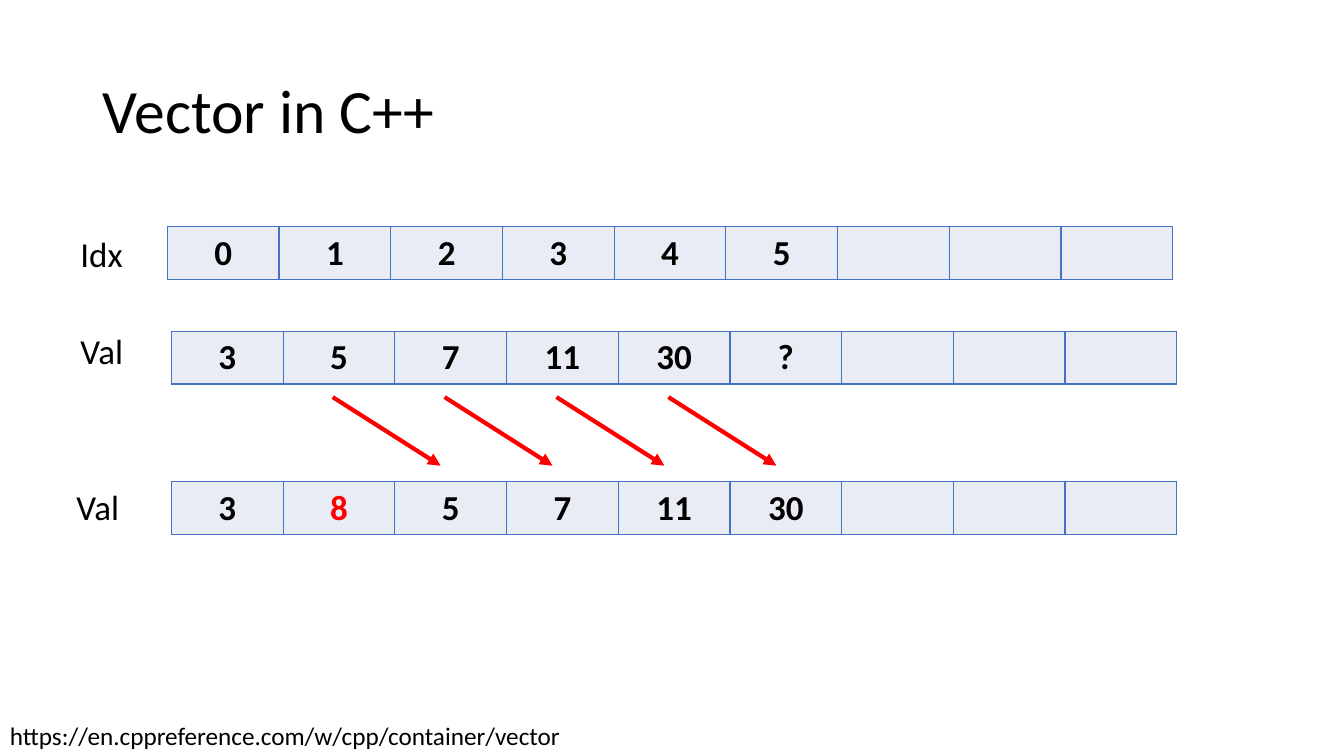
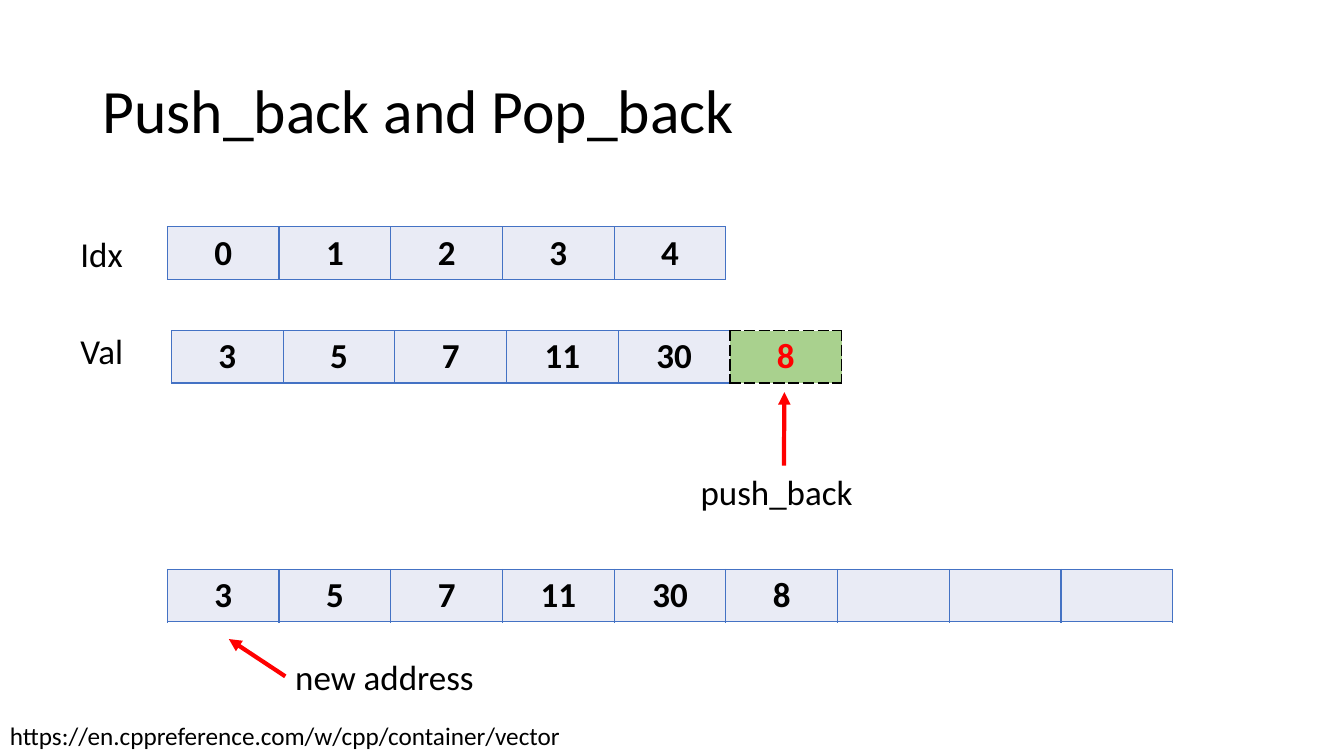
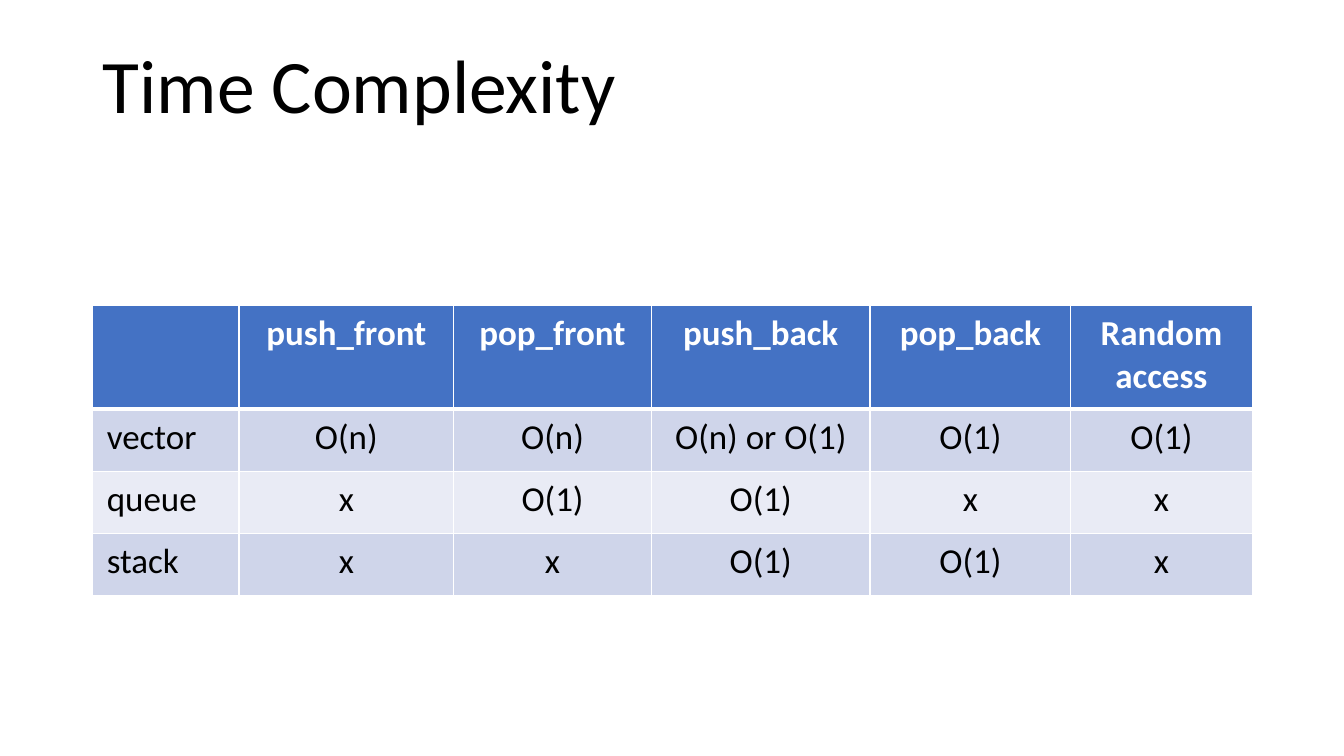
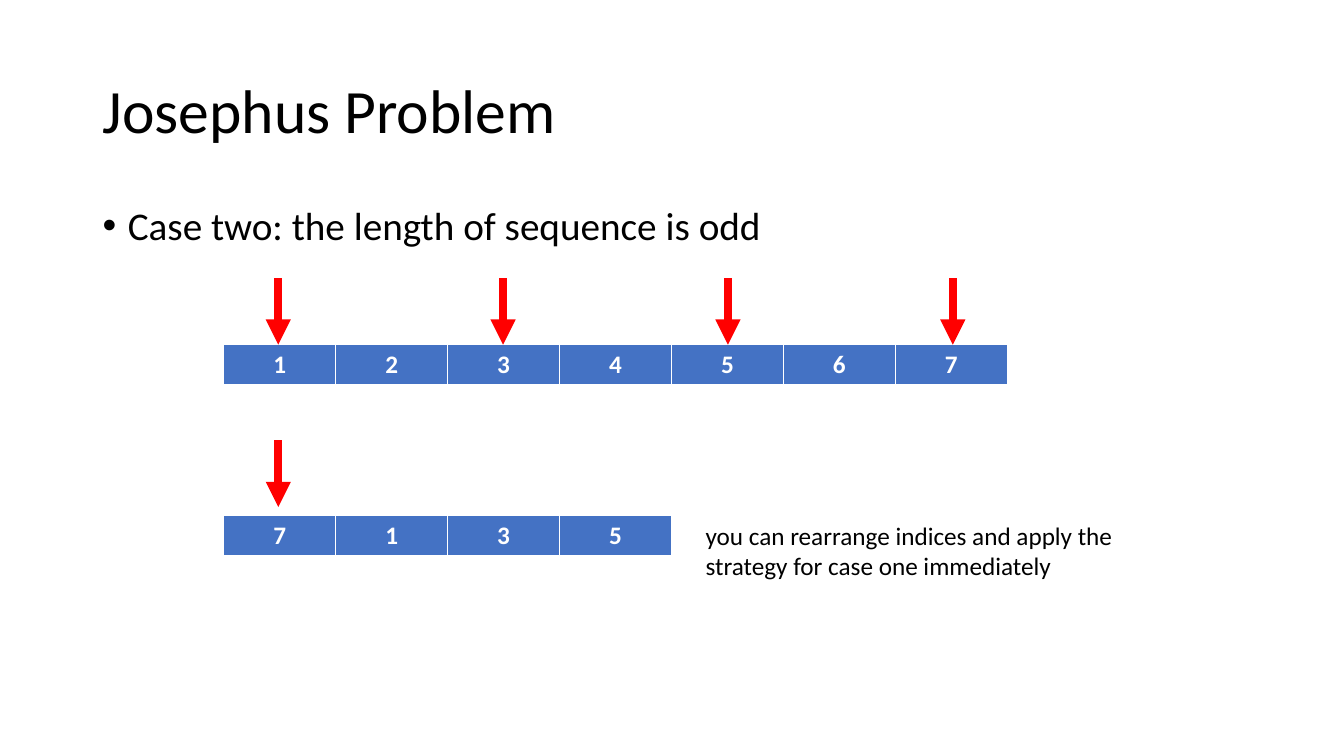
from pptx import Presentation
from pptx.dml.color import RGBColor
from pptx.enum.shapes import MSO_CONNECTOR
from pptx.enum.text import MSO_ANCHOR, PP_ALIGN
from pptx.oxml import parse_xml
from pptx.oxml.ns import nsdecls, qn
from pptx.util import Inches, Pt

STRAIGHT = MSO_CONNECTOR.STRAIGHT
TOP, MIDDLE, BOTTOM = MSO_ANCHOR.TOP, MSO_ANCHOR.MIDDLE, MSO_ANCHOR.BOTTOM
LEFT, CENTER = PP_ALIGN.LEFT, PP_ALIGN.CENTER
TOP_SIDE, LEFT_SIDE = 0, 1


class Theme:
    font = "Calibri"
    black = "000000"
    white = "FFFFFF"
    blue = "4472C4"
    band = "CFD5EA"
    pale = "E9EBF5"
    red = "FF0000"
    green = "A9D18E"
    title = 44
    big_title = 54
    body = 28
    label = 25
    small = 18


def add_text(slide, text, left, top, width, height, size, anchor=TOP, spacing=None):
    box = slide.shapes.add_textbox(Inches(left), Inches(top), Inches(width), Inches(height))
    frame = box.text_frame
    frame.word_wrap = True
    frame.vertical_anchor = anchor
    frame.text = text
    paragraph = frame.paragraphs[0]
    paragraph.line_spacing = spacing
    font = paragraph.runs[0].font
    font.name, font.size = Theme.font, Pt(size)
    font.color.rgb = RGBColor.from_string(Theme.black)
    return box


def add_table(slide, rows, left, top, widths, heights, fills, size=Theme.label,
              border=Theme.blue, header_color=Theme.black, header_rule=1,
              margins=(0.1, 0.05)):
    table = slide.shapes.add_table(len(rows), len(widths), Inches(left), Inches(top),
                                   Inches(sum(widths)), Inches(sum(heights))).table
    table.first_row = table.horz_banding = False
    for column, width in zip(table.columns, widths):
        column.width = Inches(width)
    for r, values in enumerate(rows):
        table.rows[r].height = Inches(heights[r])
        for c, value in enumerate(values):
            cell = table.cell(r, c)
            cell.margin_left = cell.margin_right = Inches(margins[0])
            cell.margin_top = cell.margin_bottom = Inches(margins[1])
            cell.fill.solid()
            cell.fill.fore_color.rgb = RGBColor.from_string(fills[r])
            cell.text = value
            paragraph = cell.text_frame.paragraphs[0]
            paragraph.alignment = LEFT if r and not c else CENTER
            font = paragraph.font
            if paragraph.runs:
                font = paragraph.runs[0].font
            font.name, font.size, font.bold = Theme.font, Pt(size), r == 0
            font.color.rgb = RGBColor.from_string(Theme.black if r else header_color)
            for position, edge in enumerate("LRTB"):
                under_header = (r, edge) in ((0, "B"), (1, "T"))
                rule = Pt(header_rule if under_header else 1)
                cell._tc.get_or_add_tcPr().insert(position, parse_xml(
                    f'<a:ln{edge} {nsdecls("a")} w="{rule}"><a:solidFill>'
                    f'<a:srgbClr val="{border}"/></a:solidFill></a:ln{edge}>'))
    return table


prs = Presentation()
prs.slide_width, prs.slide_height = Inches(13.33), Inches(7.5)
blank = prs.slide_layouts[6]
vector, push_pop, complexity, josephus = [prs.slides.add_slide(blank) for _ in range(4)]

for slide, title in ((vector, "Vector in C++"), (push_pop, "Push_back and Pop_back"),
                     (josephus, "Josephus Problem")):
    add_text(slide, title, 0.92, 0.4, 11.5, 1.45, Theme.title, MIDDLE, 0.9)
add_text(complexity, "Time Complexity", 0.92, 0.32, 11.5, 1.02, Theme.big_title, BOTTOM, 0.9)

for slide in (vector, push_pop):
    add_text(slide, "https://en.cppreference.com/w/cpp/container/vector",
             0, 7.1, 6.67, 0.4, Theme.small)
    add_text(slide, "Idx", 0.7, 2.26, 0.7, 0.52, Theme.label)
    add_text(slide, "Val", 0.7, 3.22, 0.7, 0.52, Theme.label)
add_text(vector, "Val", 0.66, 4.77, 0.7, 0.52, Theme.label)

spare = [""] * 3
cell_width = 1.108
arrays = []
for slide, left, top, values in (
    (vector, 1.66, 2.25, ["0", "1", "2", "3", "4", "5"] + spare),
    (vector, 1.7, 3.29, ["3", "5", "7", "11", "30", "?"] + spare),
    (vector, 1.7, 4.78, ["3", "8", "5", "7", "11", "30"] + spare),
    (push_pop, 1.66, 2.25, ["0", "1", "2", "3", "4"]),
    (push_pop, 1.7, 3.28, ["3", "5", "7", "11", "30", "8"]),
    (push_pop, 1.66, 5.65, ["3", "5", "7", "11", "30", "8"] + spare),
):
    arrays.append(add_table(slide, [values], left, top, [cell_width] * len(values),
                            [0.52], [Theme.pale]))

inserted, pushed = arrays[2].cell(0, 1), arrays[4].cell(0, 5)
for cell in (inserted, pushed):
    new_value = cell.text_frame.paragraphs[0].runs[0]
    new_value.font.color.rgb = RGBColor.from_string(Theme.red)
pushed.fill.fore_color.rgb = RGBColor.from_string(Theme.green)
for cell, edges in ((arrays[4].cell(0, 4), "R"), (pushed, "LRTB")):
    for edge in edges:
        line = cell._tc.tcPr.find(qn(f"a:ln{edge}"))
        line.find(".//" + qn("a:srgbClr")).set("val", Theme.black)
        line.append(parse_xml(f'<a:prstDash {nsdecls("a")} val="sysDash"/>'))

push_label = add_text(push_pop, "push_back", 6.85, 4.62, 1.85, 0.52, Theme.label)
address_label = add_text(push_pop, "new address", 2.83, 6.45, 2.06, 0.52, Theme.label)

add_table(complexity, [
    ["", "push_front", "pop_front", "push_back", "pop_back", "Random access"],
    ["vector", "O(n)", "O(n)", "O(n) or O(1)", "O(1)", "O(1)"],
    ["queue", "x", "O(1)", "O(1)", "x", "x"],
    ["stack", "x", "x", "O(1)", "O(1)", "x"],
], 0.92, 3.03, [1.45, 2.13, 1.96, 2.17, 1.99, 1.8], [1.03] + [0.615] * 3,
    [Theme.blue, Theme.band, Theme.pale, Theme.band], border=Theme.white,
    header_color=Theme.white, header_rule=3, margins=(0.14, 0.07))

case = add_text(josephus, "Case two: the length of sequence is odd",
                0.92, 2, 11.5, 4.76, Theme.body, spacing=0.9)
case_line = case.text_frame.paragraphs[0]
case_line.space_before = Pt(10)
bullet = case_line._p.get_or_add_pPr()
bullet.set("marL", str(Inches(0.25)))
bullet.set("indent", str(Inches(-0.25)))
bullet.append(parse_xml(f'<a:buFont {nsdecls("a")} typeface="Arial"/>'))
bullet.append(parse_xml(f'<a:buChar {nsdecls("a")} char="•"/>'))

for top, values in ((3.42, "1234567"), (5.11, "7135")):
    add_table(josephus, [list(values)], 2.22, top, [1.11] * len(values), [0.41],
              [Theme.blue], Theme.small, Theme.white, Theme.white, 3)
add_text(josephus, "you can rearrange indices and apply the strategy for case one immediately",
         6.9, 5.11, 4.57, 0.71, Theme.small)

arrows = [(vector, 3.3 + 1.11 * i, 3.94, 4.37 + 1.11 * i, 4.62, 3, None, None)
          for i in range(4)]
arrows += [(push_pop, 7.78, 4.62, 7.78, 3.89, 3, push_label, TOP_SIDE),
           (push_pop, 2.83, 6.71, 2.27, 6.34, 3, address_label, LEFT_SIDE)]
arrows += [(josephus, 2.76 + 2.23 * i, 2.76, 2.76 + 2.23 * i, 3.42, 6, None, None)
           for i in range(4)]
arrows.append((josephus, 2.76, 4.37, 2.76, 5.03, 6, None, None))

for slide, x1, y1, x2, y2, weight, source, side in arrows:
    arrow = slide.shapes.add_connector(STRAIGHT, Inches(x1), Inches(y1), Inches(x2), Inches(y2))
    if source is not None:
        arrow.begin_connect(source, side)
    arrow.line.width = Pt(weight)
    arrow.line.color.rgb = RGBColor.from_string(Theme.red)
    properties = arrow.element.spPr
    properties.find(qn("a:ln")).append(parse_xml(f'<a:tailEnd {nsdecls("a")} type="triangle"/>'))
    properties.append(parse_xml(f'<a:effectLst {nsdecls("a")}/>'))

prs.save("out.pptx")
